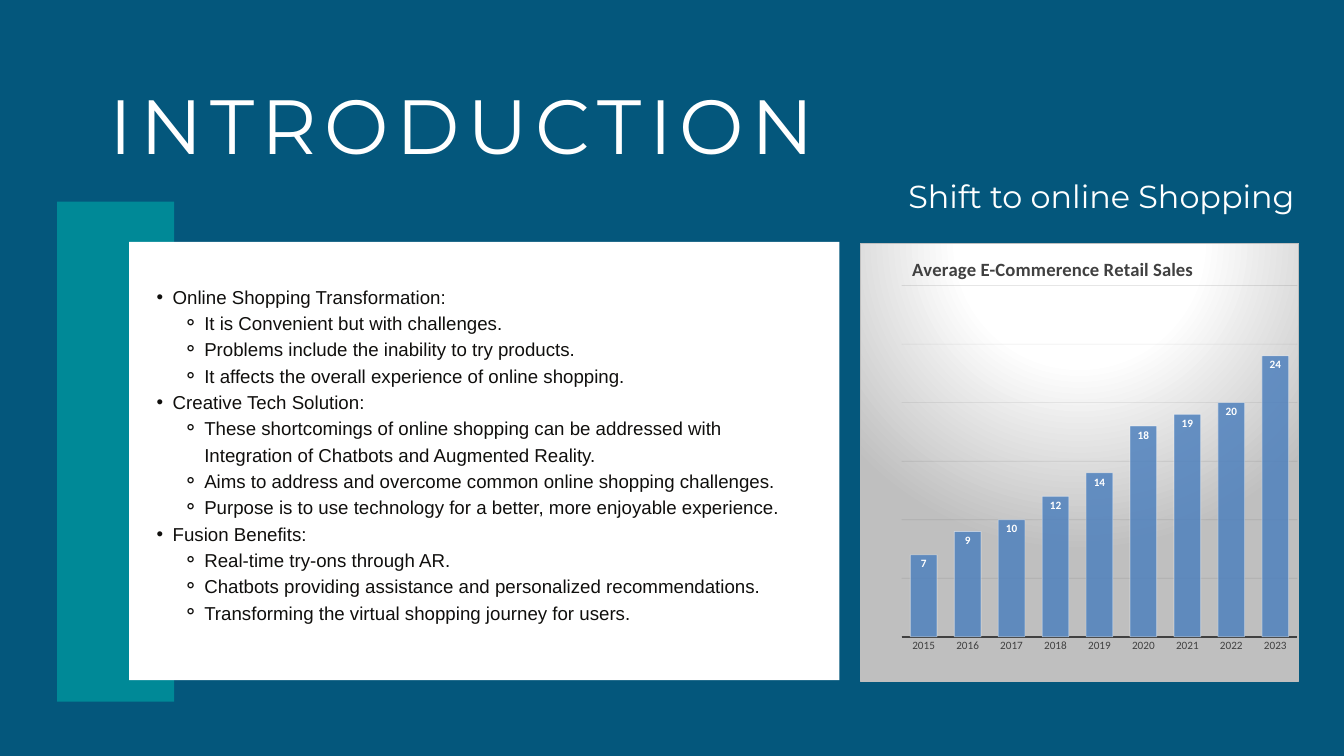
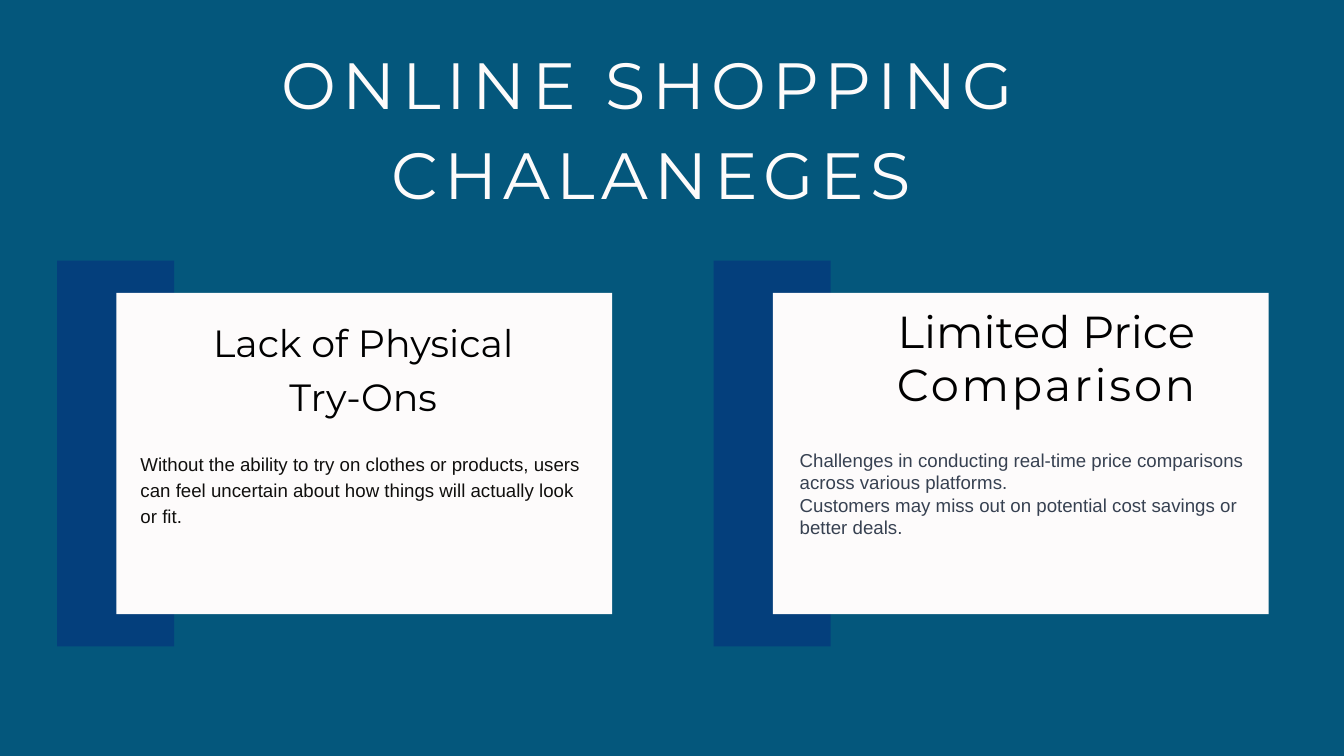
from dataclasses import dataclass

from lxml.etree import SubElement
from pptx import Presentation
from pptx.chart.data import CategoryChartData
from pptx.dml.color import RGBColor
from pptx.enum.chart import XL_CHART_TYPE, XL_LABEL_POSITION, XL_TICK_LABEL_POSITION, XL_TICK_MARK
from pptx.enum.shapes import MSO_SHAPE
from pptx.enum.text import PP_ALIGN
from pptx.oxml import parse_xml
from pptx.oxml.ns import nsdecls, qn
from pptx.util import Inches, Pt


@dataclass(frozen=True)
class Theme:
    background: str = "04577C"
    teal: str = "008997"
    navy: str = "043F7C"
    white: str = "FFFFFF"
    subtitle: str = "FEFFFF"
    card: str = "FDFBFB"
    black: str = "000000"
    ink: str = "100F0D"
    slate: str = "374151"
    axis: str = "404040"
    grid: str = "0D0D0D"
    bar: str = "4F81BD"
    silver: str = "BFBFBF"
    display_font: str = "Montserrat"
    body_font: str = "Arial"
    chart_font: str = "Calibri"
    title_size: float = 82.2
    long_title_size: float = 70
    subtitle_size: float = 34.1
    body_size: float = 20
    chart_title_size: float = 20
    chart_label_size: float = 12


THEME = Theme()
BAND_LEFT, BAND_WIDTH = 0.85, 1.74

INTRODUCTION_POINTS = {
    "Online Shopping Transformation:": [
        "It is Convenient but with challenges.",
        "Problems include the inability to try products.",
        "It affects the overall experience of online shopping.",
    ],
    "Creative Tech Solution:": [
        "These shortcomings of online shopping can be addressed with "
        "Integration of Chatbots and Augmented Reality.",
        "Aims to address and overcome common online shopping challenges.",
        "Purpose is to use technology for a better, more enjoyable experience.",
    ],
    "Fusion Benefits:": [
        "Real-time try-ons through AR.",
        "Chatbots providing assistance and personalized recommendations.",
        "Transforming the virtual shopping journey for users.",
    ],
}
YEARS = [str(year) for year in range(2015, 2024)]
RETAIL_SALES = [7, 9, 10, 12, 14, 18, 19, 20, 24]


def rgb(color):
    return RGBColor.from_string(color)


def style_font(font, name, size, color, bold=None):
    font.name = name
    font.size = Pt(size)
    font.bold = bold
    font.color.rgb = rgb(color)


def add_slide(prs):
    slide = prs.slides.add_slide(prs.slide_layouts[6])
    slide.background.fill.solid()
    slide.background.fill.fore_color.rgb = rgb(THEME.background)
    return slide


def add_panel(slide, left, top, width, height, color):
    panel = slide.shapes.add_shape(
        MSO_SHAPE.RECTANGLE, Inches(left), Inches(top), Inches(width), Inches(height))
    panel.shadow.inherit = False
    panel.fill.solid()
    panel.fill.fore_color.rgb = rgb(color)
    panel.line.fill.background()


def add_frame(slide, left, top, width, height):
    frame = slide.shapes.add_textbox(
        Inches(left), Inches(top), Inches(width), Inches(height)).text_frame
    frame.word_wrap = True
    frame.margin_left = frame.margin_top = frame.margin_right = frame.margin_bottom = 0
    return frame


def next_paragraph(frame):
    first = frame.paragraphs[0]
    return frame.add_paragraph() if first.runs else first


def set_tracking(run, points):
    run.font._element.set("spc", str(round(points * 100)))


def add_heading(slide, box, runs, size, color, leading, tracking=0):
    """Centred display text; tracking applies to the last run."""
    paragraph = add_frame(slide, *box).paragraphs[0]
    paragraph.alignment = PP_ALIGN.CENTER
    paragraph.line_spacing = Pt(leading)
    style_font(paragraph.font, THEME.display_font, size, color)
    for text in runs:
        paragraph.add_run().text = text
    if tracking:
        set_tracking(paragraph.runs[-1], tracking)


def add_body(slide, box, texts, color, leading=None):
    frame = add_frame(slide, *box)
    for text in texts:
        paragraph = next_paragraph(frame)
        if leading:
            paragraph.line_spacing = Pt(leading)
        style_font(paragraph.font, THEME.body_font, THEME.body_size, color)
        paragraph.add_run().text = text


def add_bullet(frame, text, level, mark, margin, hang):
    paragraph = next_paragraph(frame)
    paragraph.level = level
    paragraph.line_spacing = Pt(28.2)
    properties = paragraph._p.get_or_add_pPr()
    properties.set("marL", str(Inches(margin)))
    properties.set("indent", str(-Inches(hang)))
    SubElement(properties, qn("a:buFont"), typeface=THEME.body_font)
    SubElement(properties, qn("a:buChar"), char=mark)
    style_font(paragraph.font, THEME.body_font, THEME.body_size, THEME.ink)
    paragraph.add_run().text = text


def add_outline(slide, box, points):
    frame = add_frame(slide, *box)
    for topic, details in points.items():
        add_bullet(frame, topic, 1, "•", 0.48, 0.24)
        for detail in details:
            add_bullet(frame, detail, 2, "⚬", 0.95, 0.32)


def set_alpha(color_format_parent, percent):
    for color in color_format_parent.iter(qn("a:srgbClr")):
        SubElement(color, qn("a:alpha"), val=str(percent * 1000))


def set_line(line, color, width, alpha=100):
    line.color.rgb = rgb(color)
    line.width = Pt(width)
    if alpha < 100:
        set_alpha(line._get_or_add_ln(), alpha)


def manual_layout(x, y, size=None):
    entries = [("xMode", "edge"), ("yMode", "edge"), ("x", x), ("y", y)]
    if size:
        entries.insert(0, ("layoutTarget", "inner"))
        entries += zip("wh", size)
    body = "".join(f'<c:{tag} val="{value}"/>' for tag, value in entries)
    return parse_xml(
        f'<c:layout {nsdecls("c")}><c:manualLayout>{body}</c:manualLayout></c:layout>')


def replace_layout(parent, layout, index):
    for old in parent.findall(qn("c:layout")):
        parent.remove(old)
    parent.insert(index, layout)


def fill_chart_area(chart):
    stops = "".join(
        f'<a:gs pos="{position * 1000}"><a:srgbClr val="{color}"/></a:gs>'
        for position, color in [(0, THEME.white), (39, THEME.white), (100, THEME.silver)])
    area = parse_xml(
        f'<c:spPr {nsdecls("c", "a")}><a:gradFill><a:gsLst>{stops}</a:gsLst>'
        '<a:path path="circle"><a:fillToRect l="50000" t="-80000" r="50000" b="180000"/>'
        f'</a:path></a:gradFill><a:ln w="{Pt(0.75)}"><a:solidFill>'
        f'<a:srgbClr val="{THEME.silver}"/></a:solidFill></a:ln></c:spPr>')
    chart._chartSpace.chart.addnext(area)


def add_sales_chart(slide, left, top, width, height):
    sales = CategoryChartData()
    sales.categories = YEARS
    sales.add_series("Series 1", RETAIL_SALES)
    chart = slide.shapes.add_chart(
        XL_CHART_TYPE.COLUMN_CLUSTERED, Inches(left), Inches(top),
        Inches(width), Inches(height), sales).chart
    style_font(chart.font, THEME.chart_font, 10, THEME.black)
    chart.has_legend = False
    fill_chart_area(chart)

    # Title and plot position
    chart.has_title = True
    heading = chart.chart_title.text_frame.paragraphs[0]
    heading.add_run().text = "Average E-Commerence Retail Sales"
    style_font(heading.font, THEME.chart_font, THEME.chart_title_size, THEME.axis, True)
    chart.chart_title.include_in_layout = False
    replace_layout(chart.chart_title._element, manual_layout(0.11, 0.02), 1)
    replace_layout(chart._chartSpace.chart.plotArea,
                   manual_layout(0.094, 0.096, (0.903, 0.803)), 0)

    # Axes
    years = chart.category_axis
    years.major_tick_mark = XL_TICK_MARK.NONE
    style_font(years.tick_labels.font, THEME.chart_font, THEME.chart_label_size, THEME.axis)
    set_line(years.format.line, THEME.axis, 1.5)
    amounts = chart.value_axis
    amounts.minimum_scale, amounts.maximum_scale, amounts.major_unit = 0, 30, 5
    amounts.tick_label_position = XL_TICK_LABEL_POSITION.NONE
    amounts.visible = False
    set_line(amounts.major_gridlines.format.line, THEME.grid, 0.75, alpha=10)

    # Columns and their values
    plot = chart.plots[0]
    plot.gap_width = 65
    plot.vary_by_categories = False
    columns = plot.series[0]
    columns.format.fill.solid()
    columns.format.fill.fore_color.rgb = rgb(THEME.bar)
    set_alpha(columns._element.spPr, 85)
    set_line(columns.format.line, THEME.white, 0.75, alpha=50)
    labels = columns.data_labels
    labels.show_value = True
    labels.position = XL_LABEL_POSITION.INSIDE_END
    style_font(labels.font, THEME.chart_font, THEME.chart_label_size, THEME.white, True)


def build_introduction(prs):
    slide = add_slide(prs)
    add_panel(slide, BAND_LEFT, 3, BAND_WIDTH, 7.44, THEME.teal)
    add_panel(slide, 1.92, 3.6, 10.57, 6.52, THEME.white)
    add_heading(slide, (1.27, 0.96, 11.22, 1.53), ["INTRODUCTION"],
                THEME.title_size, THEME.white, 113.4, tracking=8.1)
    add_outline(slide, (2.09, 4.19, 9.9, 5.43), INTRODUCTION_POINTS)
    add_heading(slide, (12.8, 2.54, 7.18, 0.6), ["Shift to online Shopping"],
                THEME.subtitle_size, THEME.subtitle, 47.8)
    add_sales_chart(slide, 12.8, 3.62, 6.53, 6.52)


def build_challenges(prs):
    slide = add_slide(prs)
    add_heading(slide, (2.88, 0.48, 13.62, 2.64), ["ONLINE SHOPPING CHALANEGES"],
                THEME.long_title_size, THEME.card, 96.6, tracking=6.8)
    for band_left in (BAND_LEFT, 10.62):
        add_panel(slide, band_left, 3.88, BAND_WIDTH, 5.74, THEME.navy)
        add_panel(slide, band_left + 0.88, 4.36, 7.38, 4.78, THEME.card)

    # Try-ons card
    add_heading(slide, (2.81, 4.65, 5.19, 2.34), ["Lack of Physical Try-Ons"],
                40.6, THEME.black, 56.9)
    add_body(slide, (2.09, 6.69, 6.65, 1.51),
             ["Without the ability to try on clothes or products, users can feel "
              "uncertain about how things will actually look or fit."], THEME.ink, 27.6)

    # Price card
    add_heading(slide, (12.59, 4.53, 5.96, 1.58), ["Limited Price ", "Comparison"],
                48, THEME.black, 56.9, tracking=3)
    add_body(slide, (11.9, 6.68, 6.65, 1.7),
             ["Challenges in conducting real-time price comparisons across various platforms.",
              "Customers may miss out on potential cost savings or better deals."], THEME.slate)


def main():
    prs = Presentation()
    prs.slide_width, prs.slide_height = Inches(20), Inches(11.25)
    build_introduction(prs)
    build_challenges(prs)
    prs.save("out.pptx")


if __name__ == "__main__":
    main()
